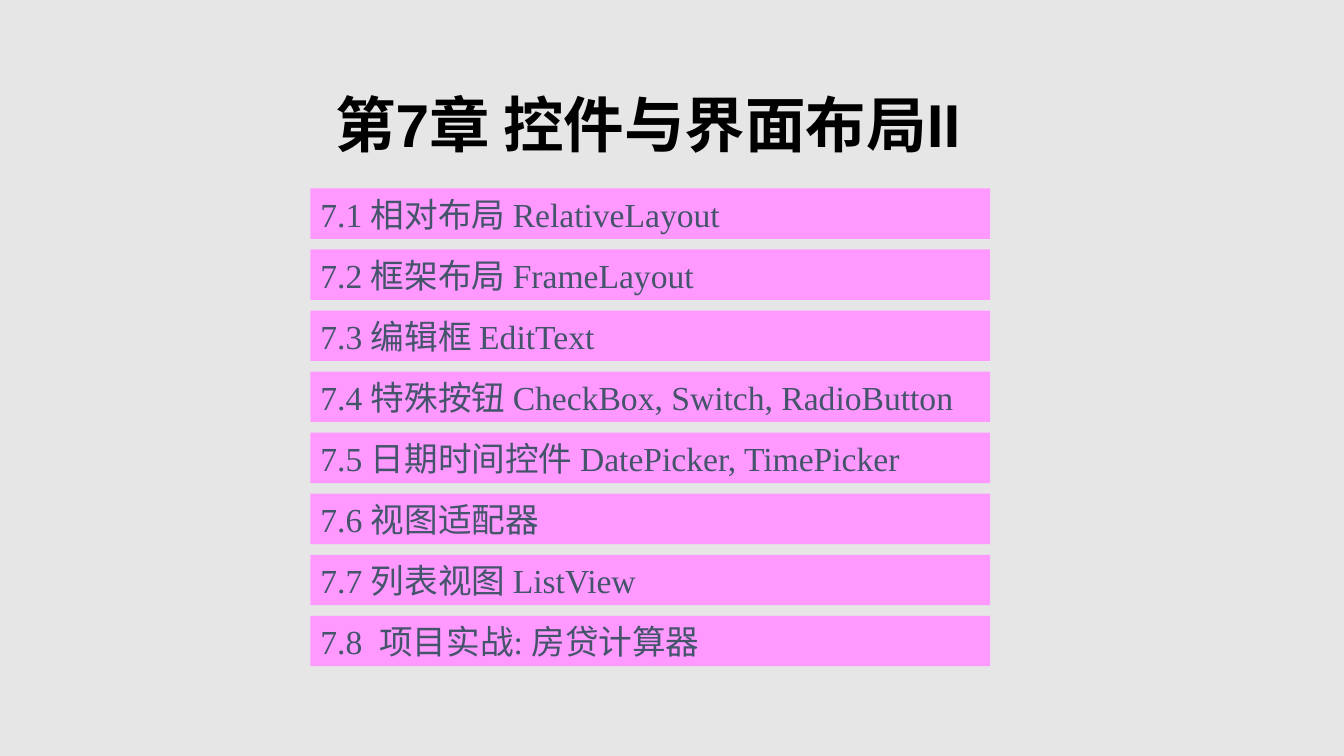
from pptx import Presentation
from pptx.dml.color import RGBColor
from pptx.enum.shapes import MSO_SHAPE
from pptx.enum.text import MSO_ANCHOR, MSO_AUTO_SIZE, PP_ALIGN
from pptx.util import Inches, Pt

CHAPTER = "第7章 控件与界面布局II"
SECTIONS = [
    "7.1 相对布局 RelativeLayout",
    "7.2 框架布局 FrameLayout",
    "7.3 编辑框 EditText",
    "7.4 特殊按钮 CheckBox, Switch, RadioButton",
    "7.5 日期时间控件 DatePicker, TimePicker",
    "7.6 视图适配器",
    "7.7 列表视图 ListView",
    "7.8  项目实战: 房贷计算器",
]


def color(hex_code):
    return RGBColor.from_string(hex_code)


class ChapterSlide:
    """Holds the style, the section grid and the slide being built."""

    BACKGROUND, BAR, INK, HEADING = "E6E6E6", "FF99FF", "44546A", "000000"
    LEFT, TOP, WIDTH, BAR_HEIGHT = 3.08, 1.87, 6.74, 0.5
    LAST_TOP = 6.11
    PITCH = (LAST_TOP - TOP) / (len(SECTIONS) - 1)

    def __init__(self, deck):
        self.slide = deck.slides.add_slide(deck.slide_layouts.get_by_name("Title Only"))
        fill = self.slide.background.fill
        fill.solid()
        fill.fore_color.rgb = color(self.BACKGROUND)

    def add_text(self, frame, text, size, font, ink, bold, align):
        frame.vertical_anchor = MSO_ANCHOR.BOTTOM
        frame.word_wrap = True
        paragraph = frame.paragraphs[0]
        paragraph.alignment = align
        run = paragraph.add_run()
        run.text = text
        run.font.size = Pt(size)
        run.font.name = font
        run.font.bold = bold
        run.font.color.rgb = color(ink)
        return paragraph

    def heading(self, text):
        title = self.slide.shapes.title
        title.left, title.top = Inches(2.89), Inches(0.83)
        title.width, title.height = Inches(7.07), Inches(0.81)
        title.text_frame.auto_size = MSO_AUTO_SIZE.NONE
        line = self.add_text(title.text_frame, text, 43.2, "Arial", self.HEADING,
                             True, PP_ALIGN.CENTER)
        line.line_spacing = 0.9

    def section(self, row, text):
        bar = self.slide.shapes.add_shape(
            MSO_SHAPE.RECTANGLE, Inches(self.LEFT), Inches(self.TOP + row * self.PITCH),
            Inches(self.WIDTH), Inches(self.BAR_HEIGHT))
        bar.shadow.inherit = False
        bar.fill.solid()
        bar.fill.fore_color.rgb = color(self.BAR)
        bar.line.fill.background()
        bar.text_frame.auto_size = MSO_AUTO_SIZE.SHAPE_TO_FIT_TEXT
        self.add_text(bar.text_frame, text, 24, "Times New Roman", self.INK,
                      False, PP_ALIGN.LEFT)


def main():
    deck = Presentation()
    deck.slide_width, deck.slide_height = Inches(13.33), Inches(7.5)
    chapter = ChapterSlide(deck)
    chapter.heading(CHAPTER)
    for row, text in enumerate(SECTIONS):
        chapter.section(row, text)
    deck.save("out.pptx")


if __name__ == "__main__":
    main()
